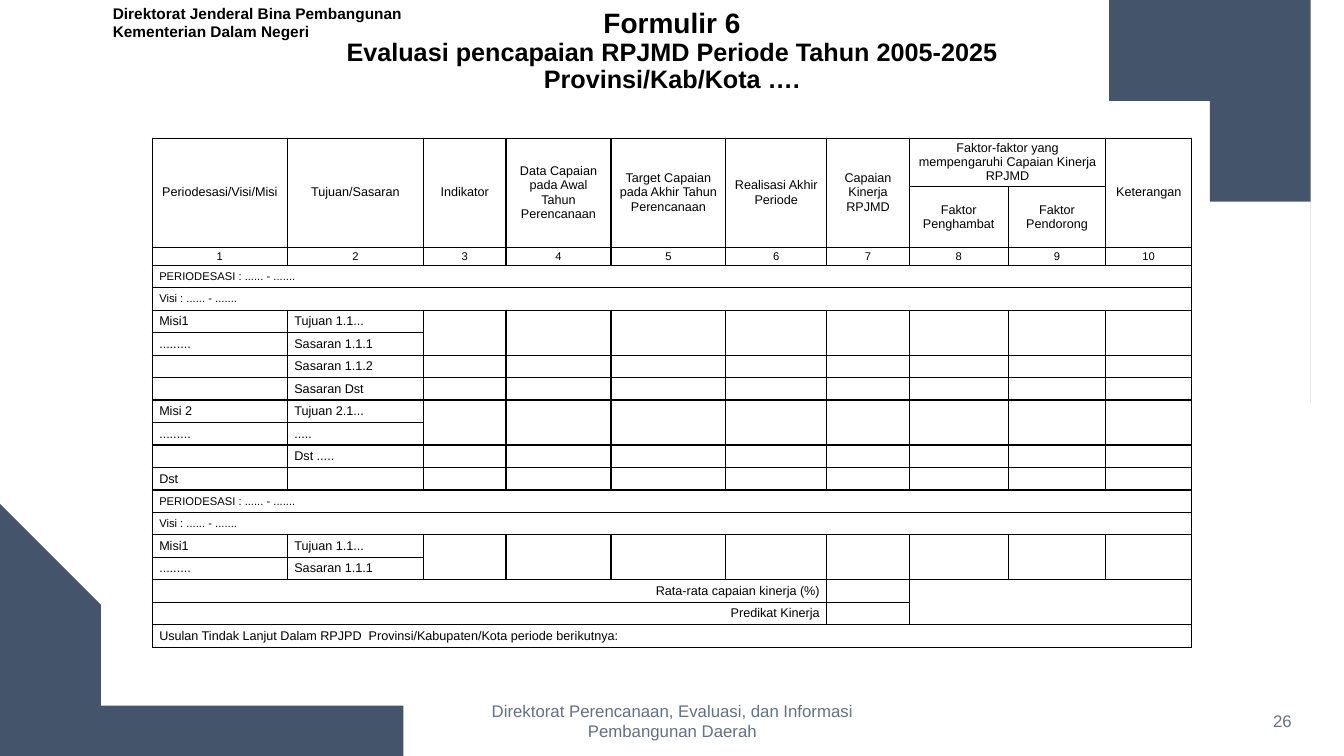
import math

import lxml.etree
import pptx
import pptx.dml.color
import pptx.enum.text
import pptx.oxml
import pptx.oxml.ns
import pptx.util

Inches, Pt = pptx.util.Inches, pptx.util.Pt
ALIGN, ANCHOR = pptx.enum.text.PP_ALIGN, pptx.enum.text.MSO_ANCHOR
RGB = pptx.dml.color.RGBColor.from_string

THEME = {
    "font": "Arial",
    "ink": "000000", "corner": "44546A", "footer": "637183",
    "title": 20, "subtitle": 18, "footer_size": 12, "agency": 11,
    "cell": 9, "small": 8, "border": 1,
}
W, H = 13.33, 7.5


def style(p, size, color="ink", align=ALIGN.LEFT, bold=False):
    p.alignment = align
    p.font.name, p.font.size, p.font.bold = THEME["font"], Pt(THEME[size]), bold
    p.font.color.rgb = RGB(THEME[color])


def add_border(cell):
    """Draw a solid line on all four sides of a table cell."""
    tc_pr = cell._tc.get_or_add_tcPr()
    for side in ("lnL", "lnR", "lnT", "lnB"):
        ln = lxml.etree.SubElement(tc_pr, pptx.oxml.ns.qn(f"a:{side}"),
                                   w=str(Pt(THEME["border"])))
        fill = lxml.etree.SubElement(ln, pptx.oxml.ns.qn("a:solidFill"))
        lxml.etree.SubElement(fill, pptx.oxml.ns.qn("a:srgbClr"), val=THEME["ink"])


prs = pptx.Presentation()
prs.slide_width, prs.slide_height = Inches(W), Inches(H)
s = prs.slides.add_slide(prs.slide_layouts[5])

# Curved corners: the area between a quarter circle and the slide's corner
R = 3.95
for corner, center, start in (((W, 0), (W - R, R), -90), ((0, H), (R, H - R), 90)):
    arc = [(center[0] + R * math.cos(math.radians(start + a)),
            center[1] + R * math.sin(math.radians(start + a))) for a in range(0, 91, 2)]
    fb = s.shapes.build_freeform(*corner, scale=Inches(1))
    fb.add_line_segments(arc, close=True)
    sp = fb.convert_to_shape()
    sp.shadow.inherit = False
    sp.fill.solid()
    sp.fill.fore_color.rgb = RGB(THEME["corner"])
    sp.line.fill.background()

# Title
title = s.shapes.title
title.left, title.top, title.width, title.height = map(Inches, (1.32, -0.47, 10.69, 1.45))
title.text_frame.vertical_anchor = ANCHOR.BOTTOM
p = title.text_frame.paragraphs[0]
p.text = ("Formulir 6\vEvaluasi pencapaian RPJMD Periode Tahun 2005-2025"
          "\vProvinsi/Kab/Kota ….")
style(p, "subtitle", align=ALIGN.CENTER, bold=True)
p.line_spacing = 0.9
p.runs[0].font.size = Pt(THEME["title"])

# Agency name, footer and slide number
for box, text, size, color, align, anchor, bold in (
    ((1.02, -0.01, 3.55, 0.47),
     "Direktorat Jenderal Bina Pembangunan\nKementerian Dalam Negeri",
     "agency", "ink", ALIGN.LEFT, ANCHOR.TOP, True),
    ((4.42, 6.95, 4.5, 0.4),
     "Direktorat Perencanaan, Evaluasi, dan Informasi Pembangunan Daerah",
     "footer_size", "footer", ALIGN.CENTER, ANCHOR.MIDDLE, False),
    ((11.1, 6.95, 1.81, 0.4), "26",
     "footer_size", "footer", ALIGN.RIGHT, ANCHOR.MIDDLE, False),
):
    tf = s.shapes.add_textbox(*map(Inches, box)).text_frame
    tf.word_wrap, tf.vertical_anchor, tf.text = True, anchor, text
    for p in tf.paragraphs:
        style(p, size, color, align, bold)

# Evaluation form
PERIOD, VISION = ["PERIODESASI : ...... - ......."], ["Visi : ...... - ......."]
FIRST_MISSION = [["Misi1", "Tujuan 1.1..."], [".........", "Sasaran 1.1.1"]]
rows = [
    ["Periodesasi/Visi/Misi", "Tujuan/Sasaran", "Indikator",
     "Data Capaian pada Awal Tahun Perencanaan",
     "Target Capaian pada Akhir Tahun Perencanaan",
     "Realisasi Akhir Periode", "Capaian Kinerja RPJMD",
     "Faktor-faktor yang mempengaruhi Capaian Kinerja RPJMD", "", "Keterangan"],
    [""] * 7 + ["Faktor Penghambat", "Faktor Pendorong"],
    [str(n) for n in range(1, 11)],
    PERIOD, VISION, *FIRST_MISSION,
    ["", "Sasaran 1.1.2"],
    ["", "Sasaran Dst"],
    ["Misi 2", "Tujuan 2.1..."],
    [".........", "....."],
    ["", "Dst ....."],
    ["Dst"],
    PERIOD, VISION, *FIRST_MISSION,
    ["Rata-rata capaian kinerja (%)"],
    ["Predikat Kinerja"],
    ["Usulan Tindak Lanjut Dalam RPJPD  Provinsi/Kabupaten/Kota periode berikutnya:"],
]
col_widths = [1.34, 1.35, 0.82, 1.04, 1.14, 1, 0.82, 0.98, 0.97, 0.85]
header_heights = [0.48, 0.31, 0.18]
table_height = 4.76
body_height = (table_height - sum(header_heights)) / (len(rows) - len(header_heights))
row_heights = header_heights + [body_height] * (len(rows) - len(header_heights))
last_col = len(col_widths) - 1
small_rows, right_rows = (2, 3, 4, 13, 14), (17, 18)

frame = s.shapes.add_table(len(rows), len(col_widths), Inches(1.51), Inches(1.37),
                           Inches(sum(col_widths)), Inches(table_height))
table = frame.table
table.first_row = table.horz_banding = False
for column, width in zip(table.columns, col_widths):
    column.width = Inches(width)
for row, height in zip(table.rows, row_heights):
    row.height = Inches(height)

# Merged areas as (top, left, bottom, right)
merges = [(0, c, 1, c) for c in (*range(7), last_col)] + [(0, 7, 0, 8)]
merges += [(r, 0, r, last_col) for r in (3, 4, 13, 14, 19)]
merges += [(r, c, r + 1, c) for r in (5, 9, 15) for c in range(2, last_col + 1)]
merges += [(r, 0, r, 5) for r in right_rows] + [(17, 7, 18, last_col)]
for top, left, bottom, right in merges:
    table.cell(top, left).merge(table.cell(bottom, right))

for r, texts in enumerate(rows):
    size = "small" if r in small_rows else "cell"
    align = (ALIGN.CENTER if r < len(header_heights)
             else ALIGN.RIGHT if r in right_rows else ALIGN.LEFT)
    for c in range(len(col_widths)):
        cell = table.cell(r, c)
        cell.margin_left = cell.margin_right = Inches(0.07)
        cell.margin_top = cell.margin_bottom = 0
        cell.vertical_anchor = ANCHOR.MIDDLE
        add_border(cell)
        cell.fill.background()
        p = cell.text_frame.paragraphs[0]
        if c < len(texts) and texts[c]:
            p.text = texts[c]
        style(p, size, align=align)

prs.save("out.pptx")
